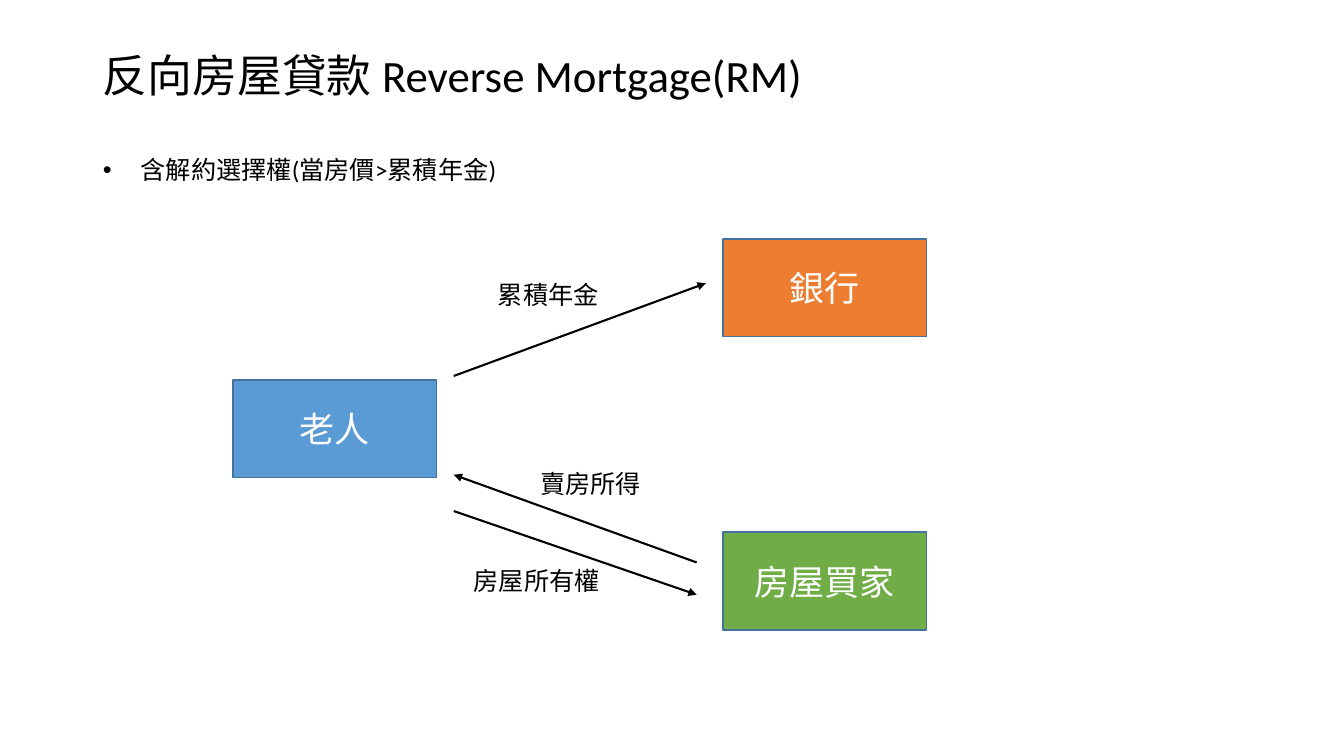
from dataclasses import dataclass
from lxml.etree import SubElement as Sub
from pptx import Presentation
from pptx.dml.color import RGBColor as Rgb
from pptx.enum.shapes import MSO_CONNECTOR as Conn, MSO_SHAPE as Kind
from pptx.enum.text import MSO_ANCHOR as Anchor, MSO_AUTO_SIZE as Auto, PP_ALIGN as Align
from pptx.oxml.ns import qn
from pptx.util import Pt

PX = 9144


@dataclass(frozen=True)
class Theme:
    """Colours, font and type sizes of the slide."""
    face: str = "Calibri"
    ink: str = "000000"
    light: str = "FFFFFF"
    edge: str = "43739E"
    blue: str = "5B9BD5"
    gold: str = "ED7D31"
    green: str = "70AD47"
    head: int = 32
    name: int = 25
    note: int = 18


class Board:
    """Draws each kind of element on one slide in one style."""

    def __init__(self, deck, theme):
        self.theme = theme
        self.slide = deck.slides.add_slide(deck.slide_layouts[1])

    def letter(self, shape, text, size, color, align=Align.LEFT):
        frame = shape.text_frame
        frame.word_wrap = True
        frame.text = text
        para = frame.paragraphs[0]
        para.alignment = align
        para.space_before = Pt(0)
        para.font.name = self.theme.face
        para.font.size = Pt(size)
        para.font.bold = False
        para.font.color.rgb = Rgb.from_string(color)
        return para

    def place(self, shape, x, y, w, h):
        shape.left, shape.top = x * PX, y * PX
        shape.width, shape.height = w * PX, h * PX

    def title(self, text, *box):
        shape = self.slide.shapes.title
        self.place(shape, *box)
        para = self.letter(shape, text, self.theme.head, self.theme.ink)
        para.line_spacing = 0.9
        shape.text_frame.vertical_anchor = Anchor.MIDDLE
        shape.text_frame.auto_size = Auto.NONE

    def bullet(self, text, *box, indent=31):
        shape = self.slide.placeholders[1]
        self.place(shape, *box)
        shape.text_frame.auto_size = Auto.NONE
        props = shape.text_frame.paragraphs[0]._p.get_or_add_pPr()
        props.set("marL", str(indent * PX))
        props.set("indent", str(-indent * PX))
        Sub(props, qn("a:buFont")).set("typeface", "Arial")
        Sub(props, qn("a:buChar")).set("char", "•")
        self.letter(shape, text, self.theme.note, self.theme.ink)

    def party(self, text, x, y, fill, w=202, h=97):
        shape = self.slide.shapes.add_shape(Kind.RECTANGLE, x * PX, y * PX, w * PX, h * PX)
        shape.shadow.inherit = False
        shape.fill.solid()
        shape.fill.fore_color.rgb = Rgb.from_string(fill)
        shape.line.color.rgb = Rgb.from_string(self.theme.edge)
        shape.line.width = Pt(1)
        shape.text_frame.vertical_anchor = Anchor.MIDDLE
        self.letter(shape, text, self.theme.name, self.theme.light, Align.CENTER)

    def label(self, text, x, y, w=155, h=40):
        shape = self.slide.shapes.add_textbox(x * PX, y * PX, w * PX, h * PX)
        self.letter(shape, text, self.theme.note, self.theme.ink)
        shape.text_frame.auto_size = Auto.SHAPE_TO_FIT_TEXT

    def arrow(self, *ends):
        link = self.slide.shapes.add_connector(Conn.STRAIGHT, *(end * PX for end in ends))
        link.line.color.rgb = Rgb.from_string(self.theme.ink)
        link.line.width = Pt(1.5)
        props = link._element.spPr
        Sub(props.find(qn("a:ln")), qn("a:tailEnd")).set("type", "triangle")
        Sub(props, qn("a:effectLst"))


def main():
    """Build the reverse mortgage slide."""
    deck = Presentation()
    deck.slide_width, deck.slide_height = 1333 * PX, 750 * PX
    theme = Theme()
    board = Board(deck, theme)

    board.title("反向房屋貸款 Reverse Mortgage(RM)", 92, 29, 1150, 96)
    board.bullet("含解約選擇權(當房價>累積年金)", 92, 148, 497, 40)

    board.party("老人", 231, 377, theme.blue)
    board.party("銀行", 717, 237, theme.gold)
    board.party("房屋買家", 717, 528, theme.green)

    board.arrow(450, 373, 700, 281)
    board.arrow(450, 507, 691, 590)
    board.arrow(691, 558, 450, 471)

    board.label("累積年金", 484, 272)
    board.label("賣房所得", 526, 460)
    board.label("房屋所有權", 460, 556)

    deck.save("out.pptx")


if __name__ == "__main__":
    main()
